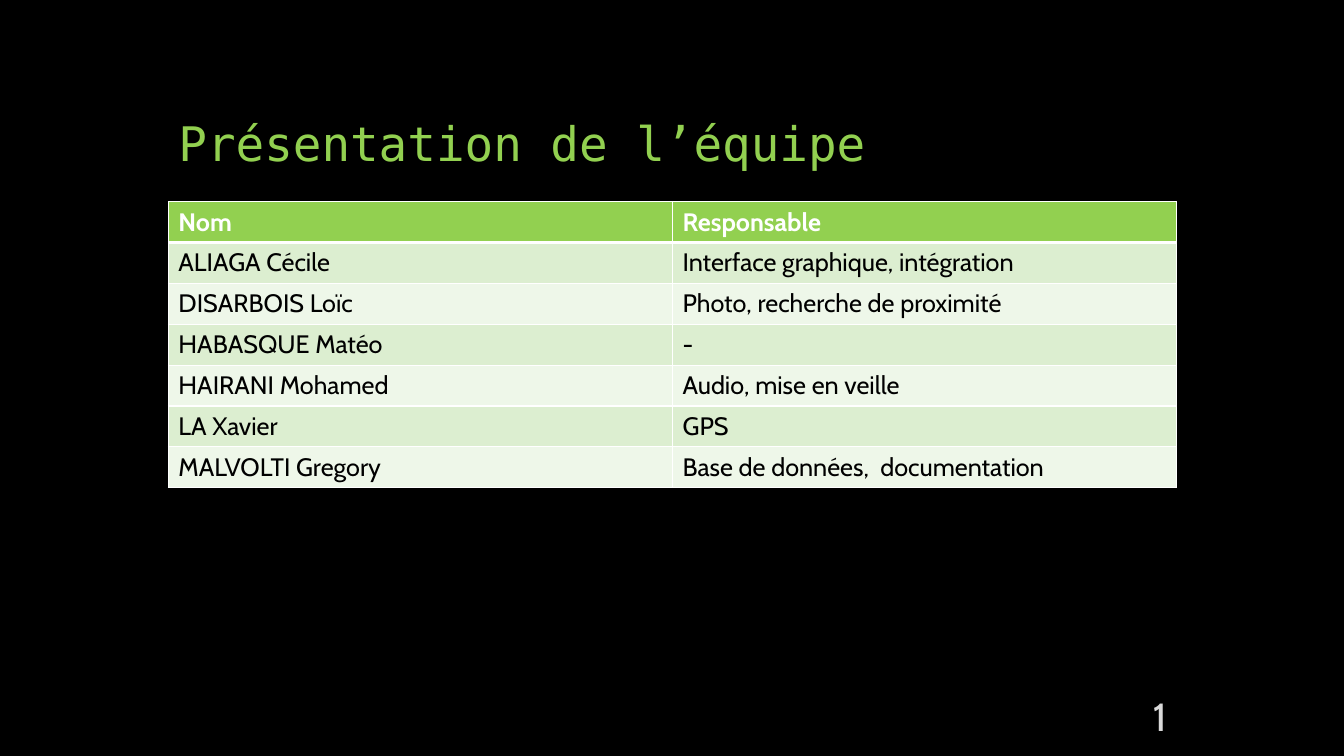
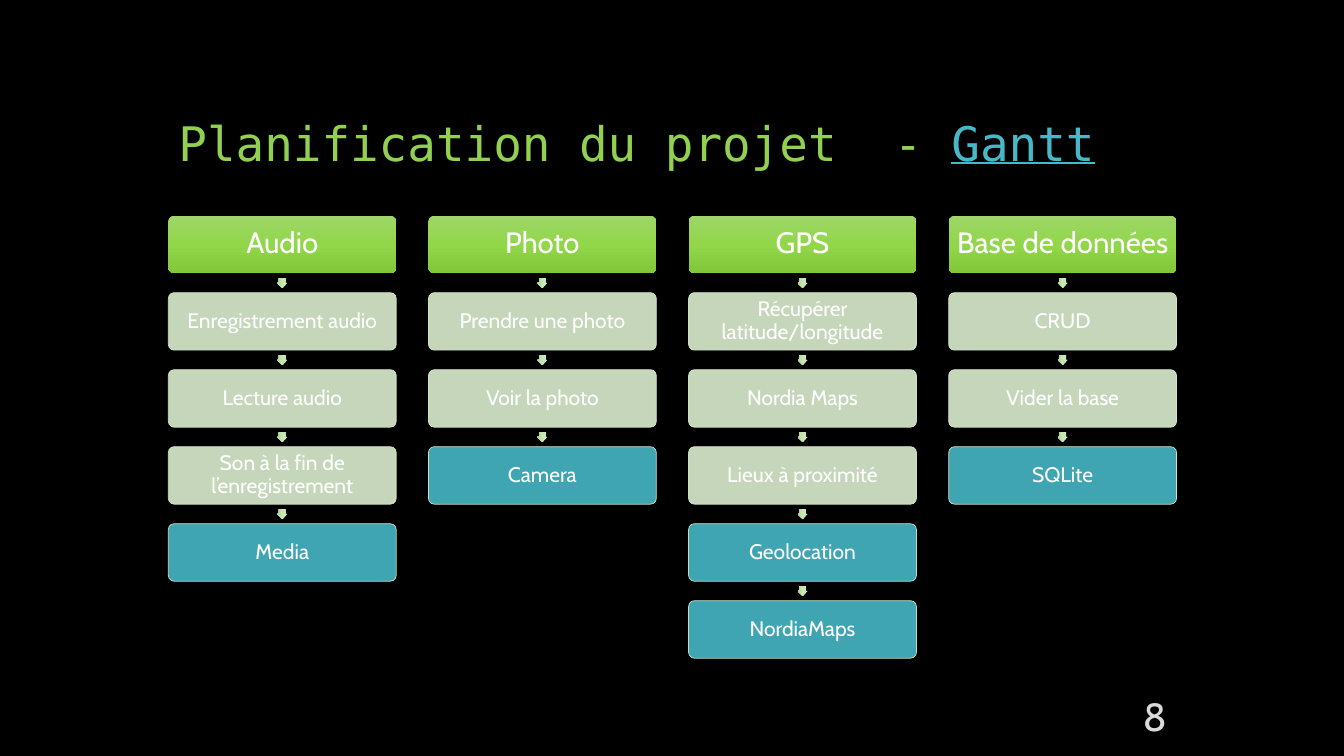
import lxml.etree
import pptx
import pptx.dml.color
import pptx.enum.shapes
import pptx.enum.text
import pptx.oxml.ns
import pptx.util

Inches = pptx.util.Inches
Pt = pptx.util.Pt
qn = pptx.oxml.ns.qn
ALIGN = pptx.enum.text.PP_ALIGN
ANCHOR = pptx.enum.text.MSO_ANCHOR
SHAPE = pptx.enum.shapes.MSO_SHAPE

BODY_FONT = "Cabin"
TITLE_FONT = "DejaVu Sans Mono"
BLACK, WHITE, GREY = "000000", "FFFFFF", "D9D9D9"
GREEN, TEAL = "92D050", "47B8C7"
PALE, PALER = "DCEED0", "EEF7E9"
HEADING_STOPS = [(0, "9ED669"), (50, "92D64A"), (100, "82C63A")]
ARROW_STOPS = [(0, "CFE9BD"), (50, "C7E7B0"), (100, "B0D199")]

LEFT, CONTENT_WIDTH = 1.67, 10
STEP_WIDTH, STEP_HEIGHT = 2.26, 0.57
FLOW_TOP, LAST_STEP_TOP, STEP_GAPS = 2.14, 5.96, 5
ARROW_SIZE = 0.1

TEAM = [
    ("Nom", "Responsable"),
    ("ALIAGA Cécile", "Interface graphique, intégration"),
    ("DISARBOIS Loïc", "Photo, recherche de proximité"),
    ("HABASQUE Matéo", "-"),
    ("HAIRANI Mohamed", "Audio, mise en veille"),
    ("LA Xavier", "GPS"),
    ("MALVOLTI Gregory", "Base de données,  documentation"),
]

WORKSTREAMS = [
    ("Audio",
     ["Enregistrement audio", "Lecture audio", "Son à la fin de l’enregistrement"],
     ["Media"]),
    ("Photo", ["Prendre une photo", "Voir la photo"], ["Camera"]),
    ("GPS",
     ["Récupérer latitude/longitude", "Nordia Maps", "Lieux à proximité"],
     ["Geolocation", "NordiaMaps"]),
    ("Base de données", ["CRUD", "Vider la base"], ["SQLite"]),
]


def color(value):
    return pptx.dml.color.RGBColor.from_string(value)


def style_paragraph(paragraph, size, hue, font=BODY_FONT, align=ALIGN.LEFT, bold=False):
    paragraph.alignment = align
    paragraph.font.name = font
    paragraph.font.size = Pt(size)
    paragraph.font.bold = bold
    paragraph.font.color.rgb = color(hue)


def add_stop_color(parent, hue, opacity=100):
    srgb = lxml.etree.SubElement(parent, qn("a:srgbClr"), val=hue)
    if opacity < 100:
        lxml.etree.SubElement(srgb, qn("a:alpha"), val=str(opacity * 1000))


def fill_gradient(shape, stops):
    shape.fill.gradient()
    shape.fill.gradient_angle = 270
    stop_list = shape._element.spPr.find(".//" + qn("a:gsLst"))
    for stop in list(stop_list):
        stop_list.remove(stop)
    for position, hue in stops:
        stop = lxml.etree.SubElement(stop_list, qn("a:gs"), pos=str(position * 1000))
        add_stop_color(stop, hue)


def fill_translucent(shape, hue):
    shape.fill.solid()
    shape.fill.fore_color.rgb = color(hue)
    shape.line.color.rgb = color(PALE)
    shape.line.width = Pt(0.5)
    for srgb in shape._element.spPr.iter(qn("a:srgbClr")):
        lxml.etree.SubElement(srgb, qn("a:alpha"), val="90000")


def set_borders(cell, widths):
    properties = cell._tc.get_or_add_tcPr()
    for index, (side, width) in enumerate(widths.items()):
        border = lxml.etree.Element(qn("a:ln" + side), w=str(Pt(width)))
        add_stop_color(lxml.etree.SubElement(border, qn("a:solidFill")), WHITE)
        properties.insert(index, border)


def prepare_template(presentation):
    presentation.slide_width = Inches(13.33)
    presentation.slide_height = Inches(7.5)
    backdrop = presentation.slide_master.background.fill
    backdrop.solid()
    backdrop.fore_color.rgb = color(BLACK)
    layout = presentation.slide_layouts.get_by_name("Title Only")
    title = layout.placeholders[0]
    title.left, title.top = Inches(LEFT), Inches(0.5)
    title.width, title.height = Inches(CONTENT_WIDTH), Inches(1.25)
    return layout


def add_titled_slide(presentation, layout, heading, number):
    slide = presentation.slides.add_slide(layout)
    frame = slide.shapes.title.text_frame
    frame.vertical_anchor = ANCHOR.BOTTOM
    frame.auto_size = pptx.enum.text.MSO_AUTO_SIZE.NONE
    paragraph = frame.paragraphs[0]
    paragraph.add_run().text = heading
    paragraph.line_spacing = 0.9
    style_paragraph(paragraph, 34, GREEN, TITLE_FONT)

    page = slide.shapes.add_textbox(Inches(10.75), Inches(6.96), Inches(0.92), Inches(0.28))
    page.text_frame.word_wrap = True
    page.text_frame.vertical_anchor = ANCHOR.MIDDLE
    page.text_frame.text = number
    style_paragraph(page.text_frame.paragraphs[0], 28, GREY, align=ALIGN.RIGHT)
    return slide


def add_team_table(slide, rows):
    table = slide.shapes.add_table(
        len(rows), len(rows[0]), Inches(LEFT), Inches(2),
        Inches(CONTENT_WIDTH), Inches(2.84)).table
    table.horz_banding = False
    for row, texts in enumerate(rows):
        is_header = row == 0
        band = GREEN if is_header else (PALE if row % 2 else PALER)
        for column, text in enumerate(texts):
            cell = table.cell(row, column)
            cell.text = text
            style_paragraph(cell.text_frame.paragraphs[0], 18,
                            WHITE if is_header else BLACK, bold=is_header)
            cell.fill.solid()
            cell.fill.fore_color.rgb = color(band)
            set_borders(cell, {"L": 1, "R": 1, "T": 3 if row == 1 else 1,
                               "B": 3 if is_header else 1})


def add_step(slide, left, top, text, size):
    step = slide.shapes.add_shape(
        SHAPE.ROUNDED_RECTANGLE, Inches(left), Inches(top),
        Inches(STEP_WIDTH), Inches(STEP_HEIGHT))
    step.adjustments[0] = 0.1
    step.shadow.inherit = False
    frame = step.text_frame
    frame.word_wrap = True
    frame.vertical_anchor = ANCHOR.MIDDLE
    frame.margin_left = frame.margin_right = Inches(0.04)
    frame.margin_top = frame.margin_bottom = Inches(0.04)
    frame.text = text
    frame.paragraphs[0].line_spacing = 0.9
    style_paragraph(frame.paragraphs[0], size, WHITE, align=ALIGN.CENTER)
    return step


def add_heading_step(slide, left, text):
    heading = add_step(slide, left, FLOW_TOP, text, 21)
    fill_gradient(heading, HEADING_STOPS)
    heading.line.fill.background()


def add_flow_arrow(slide, center_x, center_y):
    arrow = slide.shapes.add_shape(
        SHAPE.RIGHT_ARROW, Inches(center_x - ARROW_SIZE / 2),
        Inches(center_y - ARROW_SIZE / 2), Inches(ARROW_SIZE), Inches(ARROW_SIZE))
    arrow.rotation = 90
    arrow.adjustments[0] = 0.67
    arrow.adjustments[1] = 0.5
    arrow.shadow.inherit = False
    fill_gradient(arrow, ARROW_STOPS)
    arrow.line.fill.background()


def add_workstream(slide, left, heading, tasks, tools):
    pitch = (LAST_STEP_TOP - FLOW_TOP) / STEP_GAPS
    gap = pitch - STEP_HEIGHT
    add_heading_step(slide, left, heading)
    steps = [(task, PALE) for task in tasks] + [(tool, TEAL) for tool in tools]
    for position, (text, hue) in enumerate(steps, start=1):
        top = FLOW_TOP + position * pitch
        add_flow_arrow(slide, left + STEP_WIDTH / 2, top - gap / 2)
        fill_translucent(add_step(slide, left, top, text, 15), hue)


def main():
    presentation = pptx.Presentation()
    layout = prepare_template(presentation)

    team = add_titled_slide(presentation, layout, "Présentation de l’équipe", "1")
    add_team_table(team, TEAM)

    planning = add_titled_slide(presentation, layout, "Planification du projet  - ", "8")
    gantt = planning.shapes.title.text_frame.paragraphs[0].add_run()
    gantt.text = "Gantt"
    gantt.font.color.rgb = color(TEAL)
    gantt.font.underline = True
    column_pitch = (CONTENT_WIDTH - STEP_WIDTH) / (len(WORKSTREAMS) - 1)
    for column, (heading, tasks, tools) in enumerate(WORKSTREAMS):
        add_workstream(planning, LEFT + column * column_pitch, heading, tasks, tools)

    presentation.save("out.pptx")


main()
